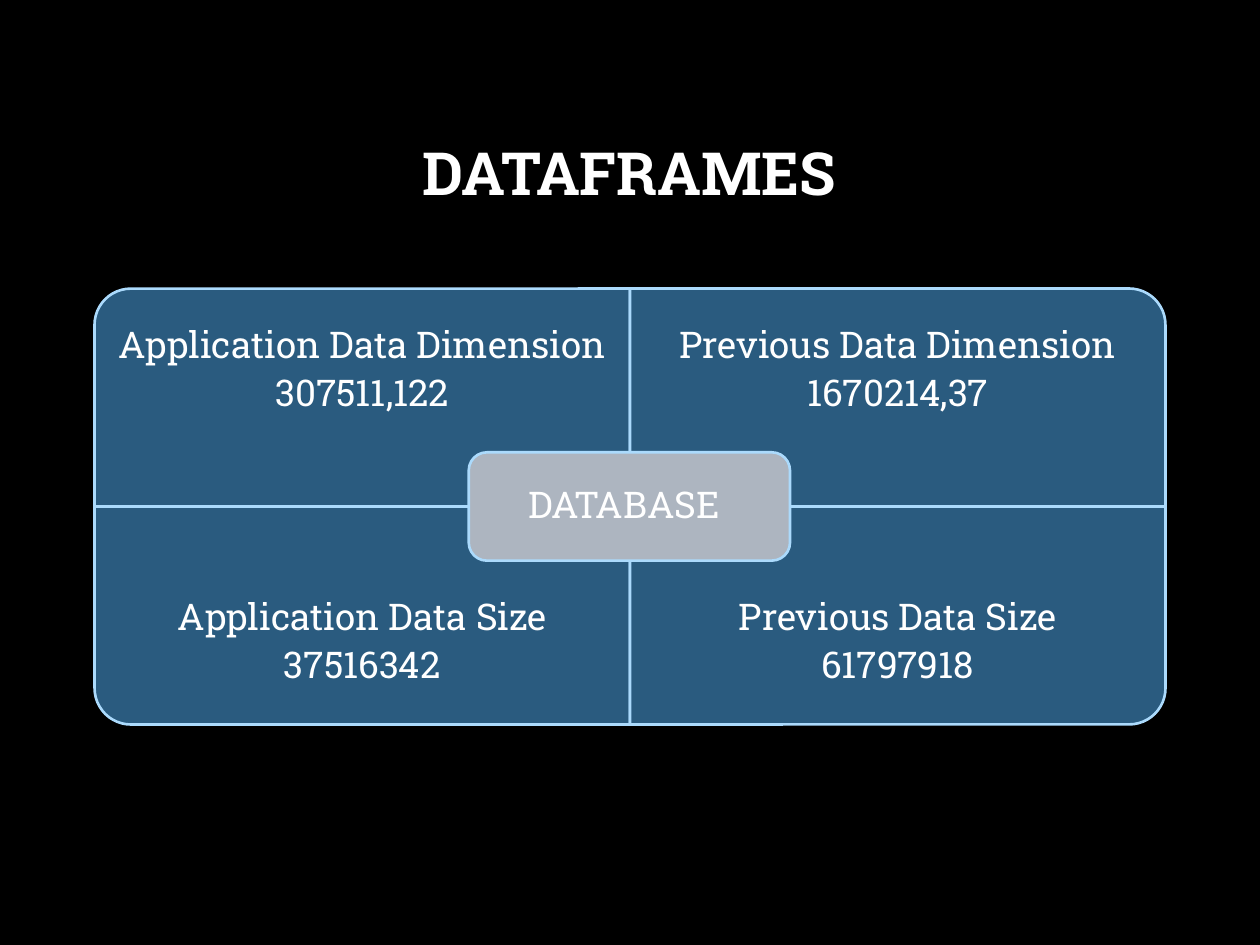
from dataclasses import dataclass
from pptx import Presentation
from pptx.dml.color import RGBColor
from pptx.enum.shapes import MSO_SHAPE
from pptx.enum.text import MSO_ANCHOR, PP_ALIGN
from pptx.util import Inches, Pt

PANEL = MSO_SHAPE.ROUND_1_RECTANGLE
BADGE = MSO_SHAPE.ROUNDED_RECTANGLE
MIDDLE = MSO_ANCHOR.MIDDLE
CENTER = PP_ALIGN.CENTER


@dataclass
class Theme:
    font: str = "Roboto Slab"
    background: str = "000000"
    text: str = "FFFFFF"
    panel: str = "2A5B7F"
    badge: str = "ADB5C0"
    outline: str = "ABDAFC"
    title_size: int = 34
    body_size: int = 21
    line_width: float = 1.5


theme = Theme()


def add_block(kind, left, top, width, height, color, rotation=0):
    block = page.shapes.add_shape(kind, Inches(left), Inches(top), Inches(width), Inches(height))
    block.rotation = rotation
    block.shadow.inherit = False
    block.fill.solid()
    block.fill.fore_color.rgb = RGBColor.from_string(color)
    block.line.color.rgb = RGBColor.from_string(theme.outline)
    block.line.width = Pt(theme.line_width)


def add_text(lines, left, top, width, height, size, inset, gap=0, bold=False):
    box = page.shapes.add_textbox(Inches(left), Inches(top), Inches(width), Inches(height))
    frame = box.text_frame
    frame.word_wrap = True
    frame.vertical_anchor = MIDDLE
    frame.margin_left = frame.margin_right = Inches(inset)
    frame.margin_top = frame.margin_bottom = Inches(inset)
    for index, line in enumerate(lines):
        para = frame.add_paragraph() if index else frame.paragraphs[0]
        para.alignment = CENTER
        para.line_spacing = 0.9
        para.space_after = Pt(gap)
        span = para.add_run()
        span.text = line
        span.font.name = theme.font
        span.font.size = Pt(size)
        span.font.bold = bold
        span.font.color.rgb = RGBColor.from_string(theme.text)


deck = Presentation()
deck.slide_width = Inches(10)
deck.slide_height = Inches(7.5)
page = deck.slides.add_slide(deck.slide_layouts[6])
page.background.fill.solid()
page.background.fill.fore_color.rgb = RGBColor.from_string(theme.background)

add_text(["DATAFRAMES"], 0.75, 0.67, 8.49, 1.45, theme.title_size, 0.05, bold=True)

grid_left, grid_top = 0.75, 2.29
panel_width, panel_height = 4.25, 1.73
label_height = 1.3
panels = [
    (0, 0, 270, ["Application Data Dimension", "307511,122"]),
    (1, 0, 0, ["Previous Data Dimension", "1670214,37"]),
    (0, 1, 180, ["Application Data Size", "37516342"]),
    (1, 1, 90, ["Previous Data Size", "61797918"]),
]
for column, row, rotation, lines in panels:
    left = grid_left + column * panel_width
    top = grid_top + row * panel_height
    width, height = panel_width, panel_height
    if rotation in (90, 270):
        width, height = height, width
    add_block(PANEL, left + (panel_width - width) / 2, top + (panel_height - height) / 2,
              width, height, theme.panel, rotation)
    label_top = top + row * (panel_height - label_height)
    add_text(lines, left, label_top, panel_width, label_height, theme.body_size, 0.16, gap=5)

add_block(BADGE, 3.72, 3.59, 2.55, 0.86, theme.badge)
add_text(["DATABASE "], 3.76, 3.63, 2.46, 0.78, theme.body_size, 0.09, gap=5)

deck.save("out.pptx")
